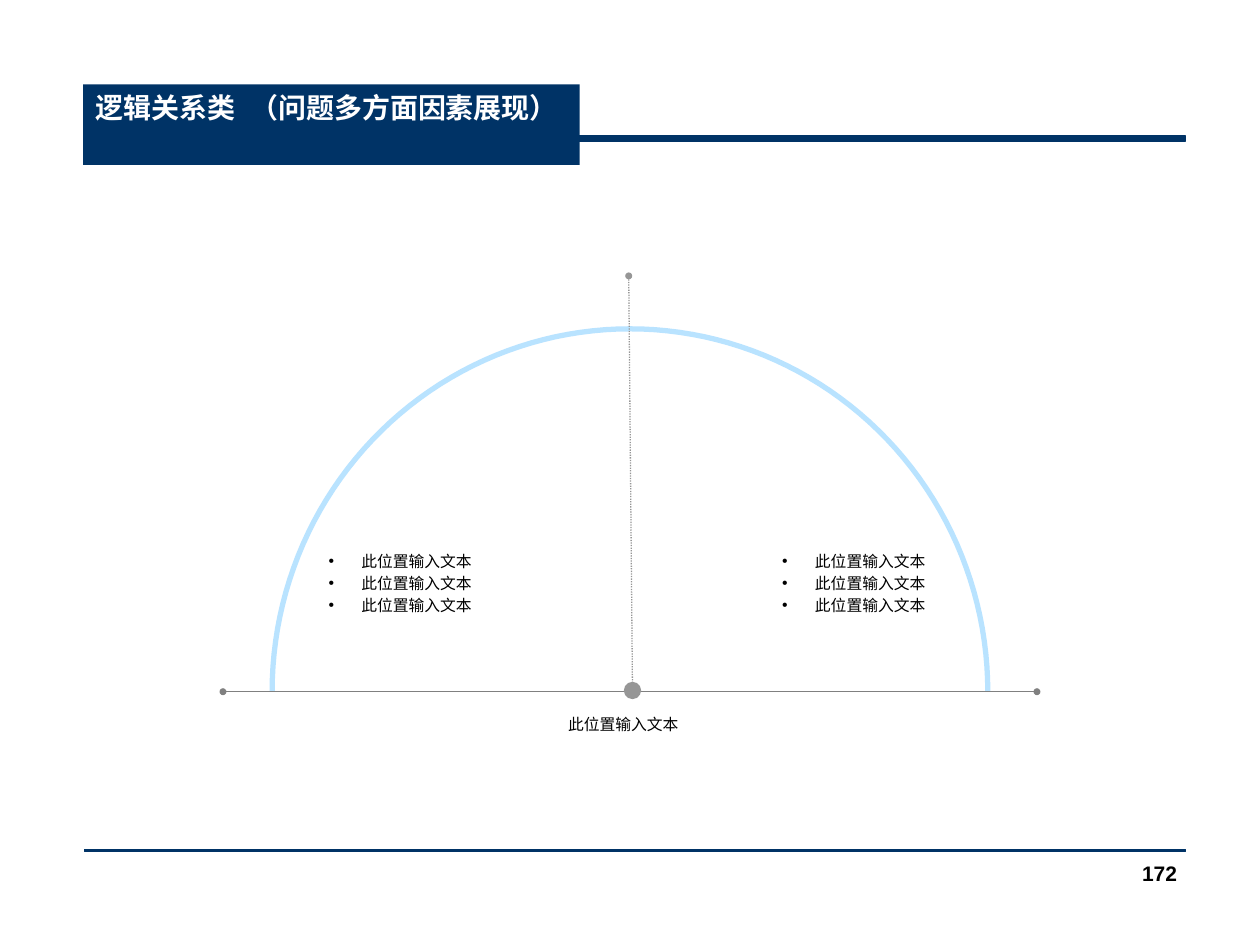
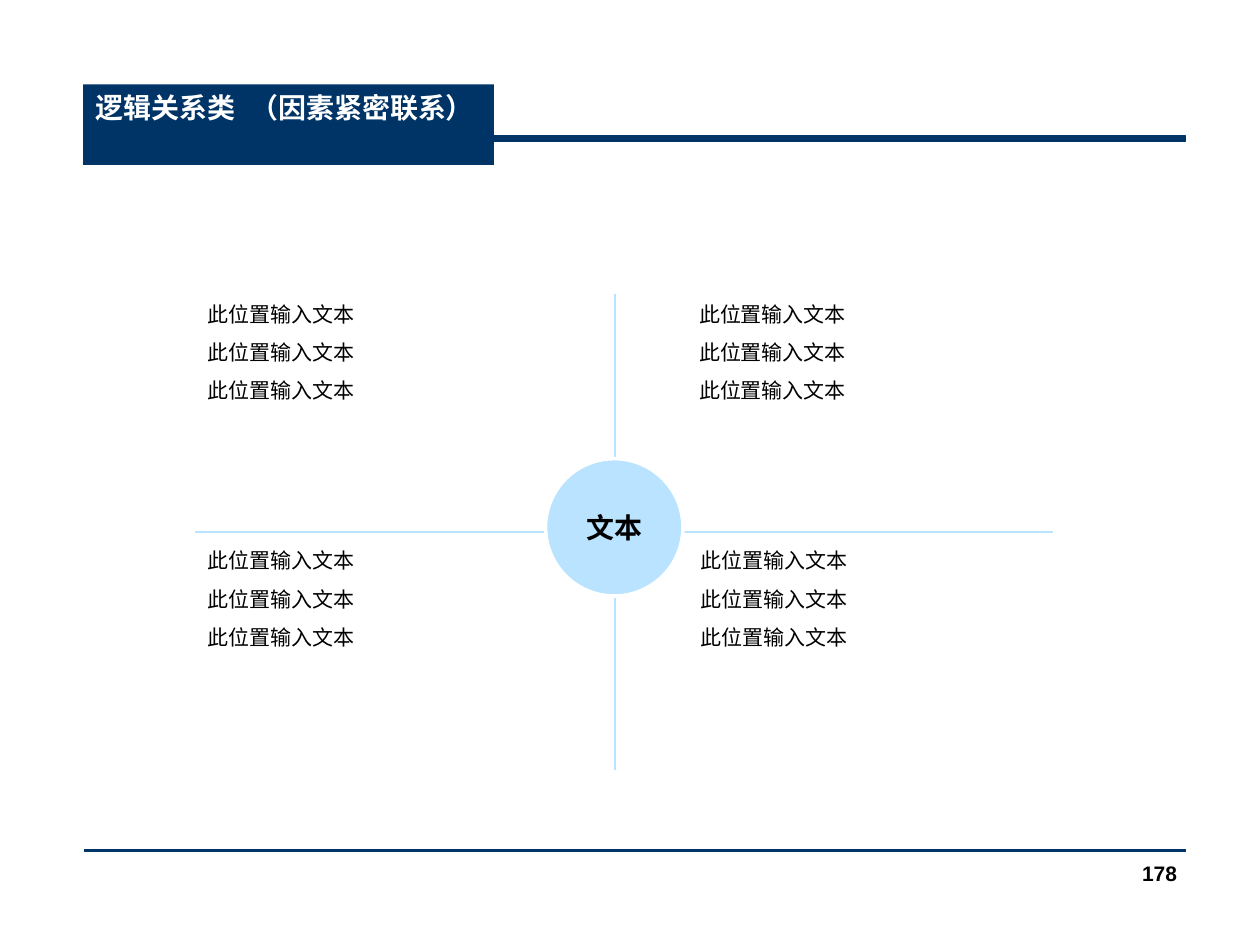
from dataclasses import dataclass
from math import cos, pi, sin

from lxml.etree import SubElement
from pptx import Presentation
from pptx.dml.color import RGBColor as RGB
from pptx.enum.dml import MSO_LINE as DASH
from pptx.enum.shapes import MSO_CONNECTOR as CONN, MSO_SHAPE as SHAPE
from pptx.enum.text import MSO_ANCHOR as ANCHOR, PP_ALIGN as ALIGN
from pptx.oxml.ns import qn
from pptx.util import Inches, Pt


@dataclass(frozen=True)
class Theme:
    """Colours, font and type sizes shared by the slides."""
    navy: RGB = RGB(0x00, 0x33, 0x66)
    sky: RGB = RGB(0xB9, 0xE3, 0xFF)
    axis: RGB = RGB(0x80, 0x80, 0x80)
    divider: RGB = RGB(0x96, 0x96, 0x96)
    white: RGB = RGB(0xFF, 0xFF, 0xFF)
    black: RGB = RGB(0x00, 0x00, 0x00)
    font: str = "Arial"
    title: int = 16
    body: int = 12
    small: int = 9


T = Theme()
CATEGORY = "逻辑关系类"
ENTRY = "此位置输入文本"


def add_run(p, text, size, color, bold, spacing=0):
    """Add a formatted run, with optional letter spacing in points."""
    r = p.add_run()
    r.text = text
    f = r.font
    f.size, f.bold, f.name = Pt(size), bold, T.font
    f.color.rgb = color
    rpr = r._r.get_or_add_rPr()
    SubElement(rpr, qn("a:ea")).set("typeface", T.font)
    if spacing:
        rpr.set("spc", str(round(spacing * 100)))


def add_bullet(p, indent=0.26):
    """Give a paragraph a round bullet and a hanging indent."""
    ppr = p._p.get_or_add_pPr()
    ppr.set("marL", str(Inches(indent)))
    ppr.set("indent", str(-Inches(indent)))
    SubElement(ppr, qn("a:buFont")).set("typeface", T.font)
    SubElement(ppr, qn("a:buChar")).set("char", "•")


def write(sp, *lines, size=T.body, color=T.black, bold=False, align=ALIGN.LEFT,
          anchor=ANCHOR.TOP, bullet=False, leading=None, gap=0):
    """Fill a shape with one formatted paragraph per line."""
    tf = sp.text_frame
    tf.word_wrap, tf.vertical_anchor = True, anchor
    for i, line in enumerate(lines):
        p = tf.add_paragraph() if i else tf.paragraphs[0]
        p.alignment = align
        if leading:
            p.line_spacing = leading
        if i and gap:
            p.space_before = Pt(gap)
        if bullet:
            add_bullet(p)
        add_run(p, line, size, color, bold)
    return tf


def add_text(s, box, *lines, **fmt):
    """Add a text box at left, top, width, height in inches."""
    return write(s.shapes.add_textbox(*map(Inches, box)), *lines, **fmt)


def add_figure(s, kind, box, fill, line=None, width=0):
    """Add a flat preset shape."""
    sp = s.shapes.add_shape(kind, *map(Inches, box))
    sp.shadow.inherit = False
    sp.fill.solid()
    sp.fill.fore_color.rgb = fill
    if line is None:
        sp.line.fill.background()
    else:
        sp.line.color.rgb, sp.line.width = line, Pt(width)
    return sp


def add_line(s, start, end, color, width, dash=None, head=None, tail=None):
    """Add a straight line with optional oval ends sized sm, med or lg."""
    c = s.shapes.add_connector(CONN.STRAIGHT, *map(Inches, (*start, *end)))
    c.line.color.rgb, c.line.width = color, Pt(width)
    if dash:
        c.line.dash_style = dash
    ln = c.line._get_or_add_ln()
    for tag, size in (("a:headEnd", head), ("a:tailEnd", tail)):
        if size:
            mark = SubElement(ln, qn(tag))
            for key, value in (("type", "oval"), ("w", size), ("len", size)):
                mark.set(key, value)
    SubElement(c._element.spPr, qn("a:effectLst"))


def add_dome(s, cx, base, rx, ry, color, width, steps=90):
    """Draw the upper half of an ellipse as an open outline."""
    points = [(Inches(cx - rx * cos(pi * i / steps)),
               Inches(base - ry * sin(pi * i / steps))) for i in range(steps + 1)]
    fb = s.shapes.build_freeform(*points[0])
    fb.add_line_segments(points[1:], close=False)
    sp = fb.convert_to_shape()
    sp.shadow.inherit = False
    sp.fill.background()
    sp.line.color.rgb, sp.line.width = color, Pt(width)


def add_page(prs, topic, title_width, number):
    """Add a slide with its rules, title block and page number."""
    s = prs.slides.add_slide(prs.slide_layouts[6])
    for top, height in ((1.08, 0.04), (6.74, 0.02)):
        add_figure(s, SHAPE.RECTANGLE, (0.67, top, 8.74, height), T.navy, T.navy)
    block = add_figure(s, SHAPE.RECTANGLE, (0.66, 0.67, title_width, 0.64), T.navy)
    p = write(block, CATEGORY, size=T.title, color=T.white, bold=True).paragraphs[0]
    add_run(p, " ", T.title, T.white, True, spacing=4.45)
    add_run(p, topic, T.title, T.white, True)
    add_text(s, (7.36, 6.78, 2.08, 0.5), str(number), bold=True, align=ALIGN.RIGHT)
    return s


def build_dome(prs):
    """Build the slide with two sets of factors under a dome."""
    s = add_page(prs, "（问题多方面因素展现）", 3.94, 172)
    base = 5.49
    add_dome(s, 5, base, 2.84, 2.88, T.sky, 3)
    add_line(s, (1.77, base), (8.23, base), T.axis, 0.75, head="sm", tail="sm")
    add_line(s, (5.02, 5.48), (4.99, 2.19), T.divider, 0.75,
             dash=DASH.ROUND_DOT, head="lg", tail="sm")
    add_text(s, (4.41, 5.62, 1.38, 0.25), ENTRY, size=T.small)
    for left in (2.51, 6.11):
        add_text(s, (left, 4.31, 1.42, 0.77), *[ENTRY] * 3,
                 size=T.small, bullet=True, leading=1.15)


def build_quadrants(prs):
    """Build the slide with four quadrants around a hub."""
    s = add_page(prs, "（因素紧密联系）", 3.26, 178)
    add_line(s, (4.88, 6.11), (4.88, 2.33), T.sky, 1)
    add_line(s, (1.55, 4.22), (8.36, 4.22), T.sky, 1)
    for left, top in ((1.55, 2.34), (5.45, 2.34), (1.55, 4.3), (5.46, 4.3)):
        add_text(s, (left, top, 2.77, 1.65), *[ENTRY] * 3, gap=7.5)
    hub = add_figure(s, SHAPE.OVAL, (4.33, 3.64, 1.09, 1.09), T.sky, T.white, 2)
    write(hub, "文本", size=T.title, bold=True, align=ALIGN.CENTER,
          anchor=ANCHOR.MIDDLE)


def main():
    """Build and save the presentation."""
    prs = Presentation()
    prs.slide_width, prs.slide_height = Inches(10), Inches(7.5)
    build_dome(prs)
    build_quadrants(prs)
    prs.save("out.pptx")


if __name__ == "__main__":
    main()
